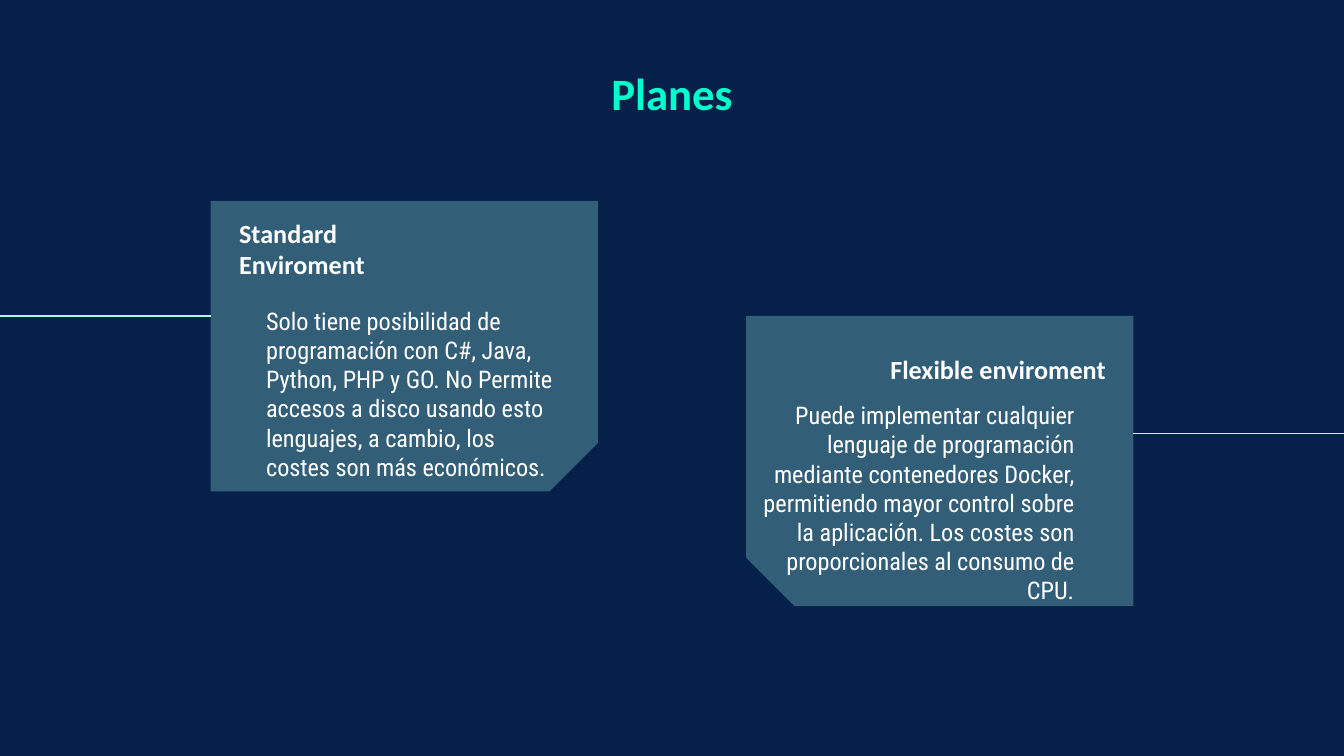
import lxml.etree
import pptx
import pptx.dml.color
import pptx.enum.shapes
import pptx.enum.text
import pptx.oxml.ns
import pptx.util
from pptx.util import Cm

ALIGN = pptx.enum.text.PP_ALIGN
ANCHOR = pptx.enum.text.MSO_ANCHOR
SHAPE = pptx.enum.shapes.MSO_SHAPE
CONNECTOR = pptx.enum.shapes.MSO_CONNECTOR
qn = pptx.oxml.ns.qn


def color(hex_code):
    return pptx.dml.color.RGBColor.from_string(hex_code)


def write(box, place, text, font, size, hex_code, align, anchor=ANCHOR.TOP, bold=False):
    """Place a box and fill it with one formatted paragraph."""
    box.left, box.top, box.width, box.height = [Cm(length) for length in place]
    frame = box.text_frame
    frame.word_wrap = True
    frame.auto_size = pptx.enum.text.MSO_AUTO_SIZE.NONE
    frame.vertical_anchor = anchor
    frame.margin_left = frame.margin_right = Cm(0.25)
    frame.margin_top = frame.margin_bottom = Cm(0.25)
    frame.text = text
    para = frame.paragraphs[0]
    para.alignment = align
    para.font.name = font
    para.font.size = pptx.util.Pt(size)
    para.font.bold = bold
    para.font.color.rgb = color(hex_code)


SLIDE_WIDTH = 25.4
CARD_WIDTH, CARD_HEIGHT = 7.32, 5.49
CARD_MARGIN = 3.98

deck = pptx.Presentation()
deck.slide_width, deck.slide_height = Cm(SLIDE_WIDTH), Cm(14.29)
page = deck.slides.add_slide(deck.slide_layouts[5])
page.background.fill.solid()
page.background.fill.fore_color.rgb = color("05214A")

write(page.shapes.title, (5.46, 1, 14.48, 2.62), "Planes",
      "Calibri", 24, "00FFCD", ALIGN.CENTER, bold=True)

right_card = SLIDE_WIDTH - CARD_MARGIN - CARD_WIDTH
plans = [
    {
        "card": (CARD_MARGIN, 3.8), "rotation": 90, "flipped": False,
        "line": (0, CARD_MARGIN, 5.97), "align": ALIGN.LEFT,
        "heading": "Standard Enviroment", "heading_place": (4.27, 4.34, 3.5, 1.2),
        "body": "Solo tiene posibilidad de programación con C#, Java, Python, PHP y GO. "
                "No Permite accesos a disco usando esto lenguajes, a cambio, "
                "los costes son más económicos.",
        "body_place": (4.78, 5.54, 6, 2.8),
    },
    {
        "card": (right_card, 5.97), "rotation": 270, "flipped": True,
        "line": (right_card + CARD_WIDTH, SLIDE_WIDTH, 8.2), "align": ALIGN.RIGHT,
        "heading": "Flexible enviroment", "heading_place": (16.2, 6.32, 4.95, 1.2),
        "body": "Puede implementar cualquier lenguaje de programación mediante "
                "contenedores Docker, permitiendo mayor control sobre la aplicación. "
                "Los costes son proporcionales al consumo de CPU.",
        "body_place": (13.87, 7.32, 6.68, 2.8),
    },
]

# A quarter turn swaps the card's sides around its centre.
turn_shift = (CARD_WIDTH - CARD_HEIGHT) / 2

for plan in plans:
    start, end, height = plan["line"]
    line = page.shapes.add_connector(
        CONNECTOR.STRAIGHT, Cm(start), Cm(height), Cm(end), Cm(height))
    line.line.color.rgb = color("AAFFEE")
    line.line.width = pptx.util.Pt(0.75)
    lxml.etree.SubElement(line._element.spPr, qn("a:effectLst"))

    left, top = plan["card"]
    card = page.shapes.add_shape(
        SHAPE.SNIP_1_RECTANGLE, Cm(left + turn_shift), Cm(top - turn_shift),
        Cm(CARD_HEIGHT), Cm(CARD_WIDTH))
    card.adjustments[0] = 0.167
    card.rotation = plan["rotation"]
    if plan["flipped"]:
        card._element.spPr.find(qn("a:xfrm")).set("flipH", "1")
    card.shadow.inherit = False
    card.line.fill.background()
    card.fill.solid()
    card.fill.fore_color.rgb = color("AAFFEE")
    fill_color = card._element.spPr.find(".//" + qn("a:srgbClr"))
    lxml.etree.SubElement(fill_color, qn("a:alpha"), val="28000")

    heading = page.shapes.add_textbox(0, 0, 0, 0)
    write(heading, plan["heading_place"], plan["heading"],
          "Calibri", 14, "FFFFFF", plan["align"], ANCHOR.BOTTOM, bold=True)
    body = page.shapes.add_textbox(0, 0, 0, 0)
    write(body, plan["body_place"], plan["body"],
          "Roboto Condensed", 13, "FFFFFF", plan["align"])

deck.save("out.pptx")
